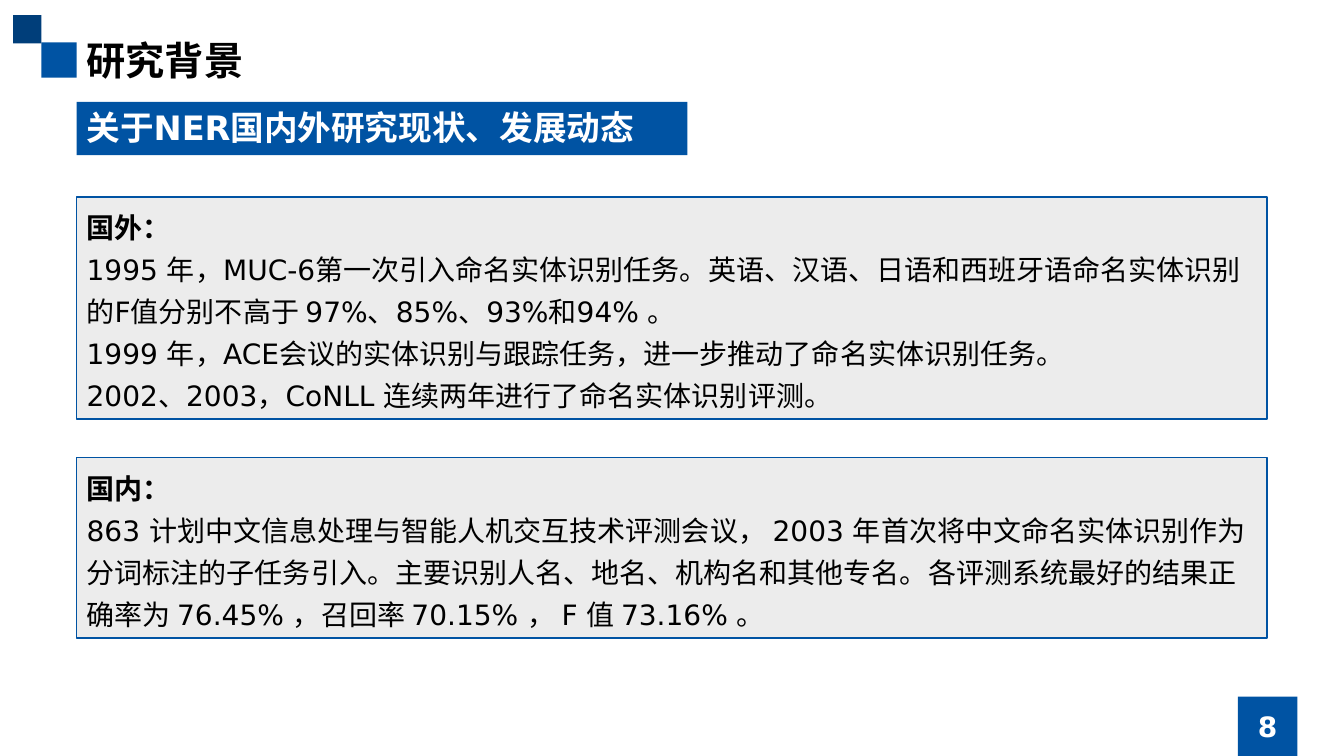
from lxml import etree
from pptx import Presentation
from pptx.dml.color import RGBColor
from pptx.enum.shapes import MSO_SHAPE as Shape
from pptx.enum.text import MSO_ANCHOR as Anchor, MSO_AUTO_SIZE as AutoSize, PP_ALIGN as Align
from pptx.oxml.ns import qn
from pptx.util import Pt

BLUE = RGBColor(0x00, 0x53, 0xA3)
DARK_BLUE = RGBColor(0x00, 0x3E, 0x7A)
GREY = RGBColor(0xEC, 0xEC, 0xEC)
BLACK = RGBColor(0, 0, 0)
WHITE = RGBColor(0xFF, 0xFF, 0xFF)
LATIN_FONT = "DejaVu Sans"
CHINESE_FONT = "Noto Sans CJK SC"
LEFT = Pt(54.7)


def format_paragraph(paragraph, size, color, bold, align=Align.LEFT, latin=LATIN_FONT):
    paragraph.alignment = align
    paragraph.space_before = Pt(0)
    for run in paragraph.runs:
        run.font.size = Pt(size)
        run.font.bold = bold
        run.font.color.rgb = color
        run.font.name = latin
        east_asian = etree.SubElement(run.font._element, qn("a:ea"))
        east_asian.set("typeface", CHINESE_FONT)


def add_block(left, top, width, height, color):
    block = slide.shapes.add_shape(Shape.RECTANGLE, Pt(left), Pt(top), Pt(width), Pt(height))
    block.shadow.inherit = False
    block.fill.solid()
    block.fill.fore_color.rgb = color
    block.line.fill.background()
    return block


presentation = Presentation()
presentation.slide_width, presentation.slide_height = Pt(960), Pt(540)
slide = presentation.slides.add_slide(presentation.slide_layouts[3])
title, abroad, domestic = slide.placeholders

# Corner squares
add_block(29.5, 30.2, 25.2, 25.2, BLUE)
add_block(9.4, 10.8, 20.2, 20.2, DARK_BLUE)

# Title
title.left, title.top, title.width, title.height = LEFT, Pt(22.3), Pt(425.5), Pt(43.2)
title.text_frame.text = "研究背景"
title.text_frame.vertical_anchor = Anchor.TOP
title.text_frame.auto_size = AutoSize.NONE
format_paragraph(title.text_frame.paragraphs[0], 28, BLACK, True, latin=CHINESE_FONT)

# Section banner
banner = add_block(54.7, 72.7, 436.3, 38.2, BLUE)
banner.text_frame.text = "关于NER国内外研究现状、发展动态"
banner.text_frame.vertical_anchor = Anchor.TOP
format_paragraph(banner.text_frame.paragraphs[0], 24, WHITE, True)

# Research panels: a bold heading followed by plain paragraphs
panels = [
    (abroad, 140.8, 158.4, [
        "国外：",
        "1995 年，MUC-6第一次引入命名实体识别任务。英语、汉语、日语和西班牙语命名实体识别的F值分别不高于 97%、85%、93%和94% 。",
        "1999 年，ACE会议的实体识别与跟踪任务，进一步推动了命名实体识别任务。",
        "2002、2003，CoNLL 连续两年进行了命名实体识别评测。",
    ]),
    (domestic, 326.9, 128.9, [
        "国内：",
        "863 计划中文信息处理与智能人机交互技术评测会议， 2003 年首次将中文命名实体识别作为分词标注的子任务引入。主要识别人名、地名、机构名和其他专名。各评测系统最好的结果正确率为 76.45% ，召回率 70.15% ， F 值 73.16% 。",
    ]),
]
for panel, top, height, lines in panels:
    panel.left, panel.top, panel.width, panel.height = LEFT, Pt(top), Pt(850.3), Pt(height)
    panel.fill.solid()
    panel.fill.fore_color.rgb = GREY
    panel.line.color.rgb = BLUE
    panel.line.width = Pt(1)
    frame = panel.text_frame
    frame.text = "\n".join(lines)
    frame.vertical_anchor = Anchor.TOP
    frame.auto_size = AutoSize.NONE
    for index, paragraph in enumerate(frame.paragraphs):
        format_paragraph(paragraph, 20, BLACK, index == 0)
        paragraph.line_spacing = 1.25
        properties = paragraph._p.get_or_add_pPr()
        properties.set("marL", "0")
        properties.set("indent", "0")
        etree.SubElement(properties, qn("a:buNone"))

# Page number
page = add_block(884.2, 497.5, 42.5, 42.5, BLUE)
page.text_frame.text = "8"
page.text_frame.vertical_anchor = Anchor.MIDDLE
format_paragraph(page.text_frame.paragraphs[0], 20, WHITE, True, Align.CENTER)

presentation.save("out.pptx")
